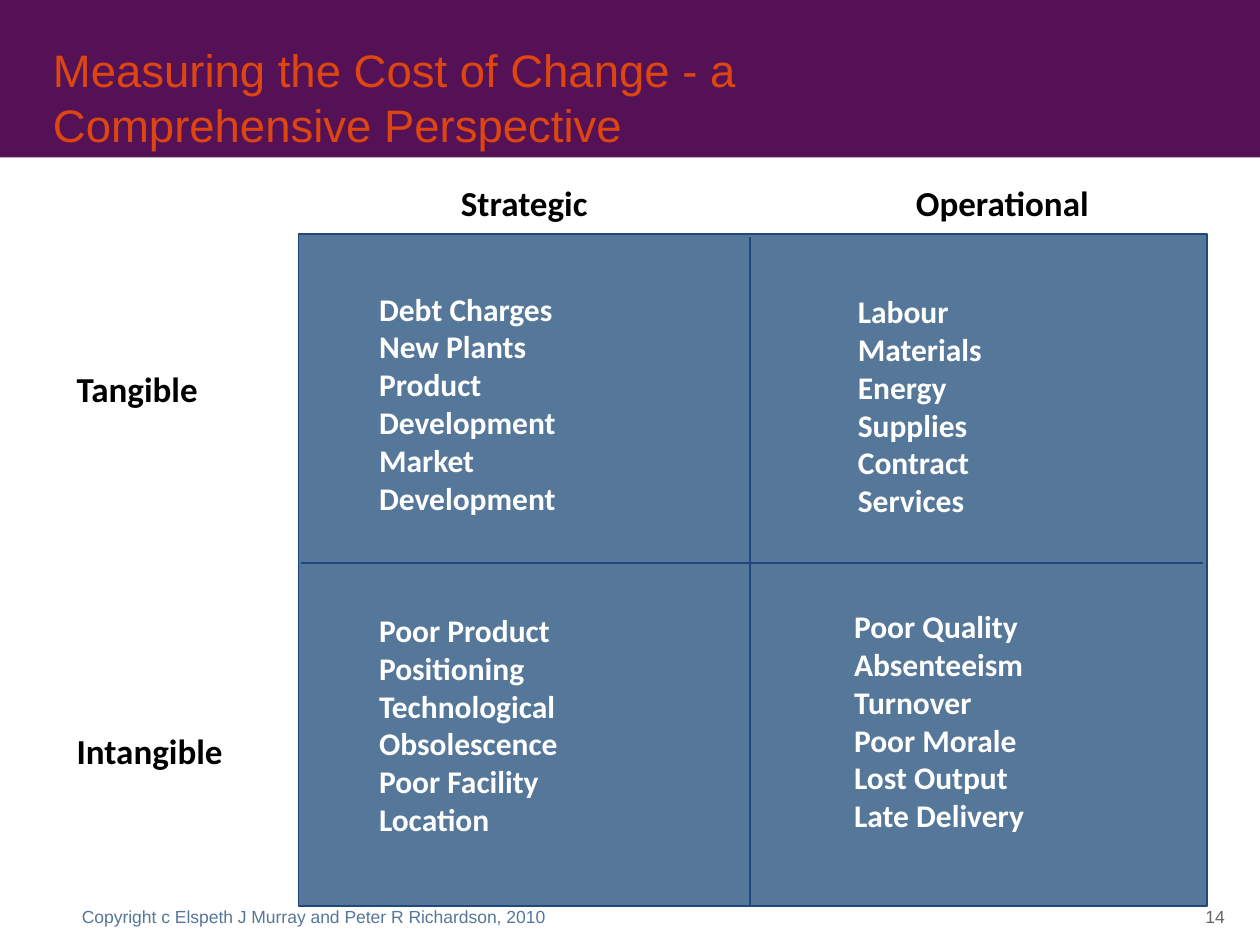
from dataclasses import dataclass

from lxml import etree
from pptx import Presentation
from pptx.dml.color import RGBColor
from pptx.enum import shapes, text
from pptx.oxml.ns import qn
from pptx.util import Inches, Pt


@dataclass(frozen=True)
class Theme:
    heading_font: str = "Arial"
    body_font: str = "Calibri"
    band: str = "551155"
    title: str = "DE4610"
    panel: str = "557799"
    rule: str = "1F497D"
    label: str = "000000"
    item: str = "FFFFFF"
    number: str = "666666"
    title_size: int = 26
    label_size: int = 20
    item_size: int = 18
    small_size: int = 10


THEME = Theme()

# Each heading: text, offset from the matrix corner, width
COLUMN_LABELS = [("Strategic", 1.19, 1.21), ("Operational", 4.8, 1.58)]
ROW_LABELS = [("Tangible", 1.01, 1.17), ("Intangible", 3.88, 1.37)]

# Each quadrant: offset from the matrix corner, width, entries
QUADRANTS = [
    (0.54, 0.39, 1.82, ["Debt Charges", "New Plants", "Product",
                        "Development", "Market", "Development"]),
    (4.34, 0.41, 1.28, ["Labour", "Materials", "Energy",
                        "Supplies", "Contract", "Services"]),
    (0.54, 2.94, 1.95, ["Poor Product", "Positioning", "Technological",
                        "Obsolescence", "Poor Facility", "Location"]),
    (4.31, 2.91, 1.75, ["Poor Quality", "Absenteeism", "Turnover",
                        "Poor Morale", "Lost Output", "Late Delivery"]),
]


def color(value):
    return RGBColor.from_string(value)


def format_text(frame, font, size, fill, bold=False, align=text.PP_ALIGN.LEFT):
    for paragraph in frame.paragraphs:
        paragraph.alignment = align
        for run in paragraph.runs:
            run.font.name = font
            run.font.size = Pt(size)
            run.font.bold = bold
            run.font.color.rgb = color(fill)


def add_text(slide, box, lines, size, fill):
    """Add bold, unwrapped body text, one paragraph per line."""
    frame = slide.shapes.add_textbox(*map(Inches, box)).text_frame
    frame.word_wrap = False
    frame.text = "\n".join(lines)
    format_text(frame, THEME.body_font, size, fill, bold=True)


def add_panel(slide, box, fill, line=None):
    panel = slide.shapes.add_shape(shapes.MSO_SHAPE.RECTANGLE, *map(Inches, box))
    panel.shadow.inherit = False
    panel.fill.solid()
    panel.fill.fore_color.rgb = color(fill)
    if line:
        panel.line.color.rgb = color(line)
        panel.line.width = Pt(1)
    else:
        panel.line.fill.background()
    return panel


def add_rule(slide, *ends):
    rule = slide.shapes.add_connector(shapes.MSO_CONNECTOR.STRAIGHT, *map(Inches, ends))
    rule.line.color.rgb = color(THEME.rule)
    rule.line.width = Pt(1)
    etree.SubElement(rule._element.spPr, qn("a:effectLst"))


def add_header(slide, box):
    left, top, width, height = box
    band = add_panel(slide, box, THEME.band)
    slide.shapes._spTree.insert(2, band._element)  # behind the title
    title = slide.shapes.title
    title.left, title.top = Inches(left + 0.32), Inches(top + 0.53)
    title.width, title.height = Inches(8.12), Inches(height - 0.53)
    frame = title.text_frame
    frame.text = "Measuring the Cost of Change - a Comprehensive Perspective"
    frame.word_wrap = True
    frame.auto_size = text.MSO_AUTO_SIZE.NONE
    frame.vertical_anchor = text.MSO_ANCHOR.BOTTOM
    format_text(frame, THEME.heading_font, THEME.title_size, THEME.title)


def add_matrix(slide, box):
    left, top, width, height = box
    add_panel(slide, box, THEME.panel, THEME.rule)
    middle_x, middle_y = left + 3.58, top + 2.61
    add_rule(slide, middle_x, top + 0.02, middle_x, top + height)
    add_rule(slide, left + 0.02, middle_y, left + width - 0.03, middle_y)
    for label, x, label_width in COLUMN_LABELS:
        add_text(slide, (left + x, top - 0.47, label_width, 0.43), [label],
                 THEME.label_size, THEME.label)
    for label, y, label_width in ROW_LABELS:
        add_text(slide, (left - 1.86, top + y, label_width, 0.43), [label],
                 THEME.label_size, THEME.label)
    for x, y, item_width, items in QUADRANTS:
        add_text(slide, (left + x, top + y, item_width, 1.9), items,
                 THEME.item_size, THEME.item)


def add_small_text(slide, box, words, fill, align):
    frame = slide.shapes.add_textbox(*map(Inches, box)).text_frame
    frame.margin_left = frame.margin_right = 0
    frame.margin_top = frame.margin_bottom = 0
    frame.vertical_anchor = text.MSO_ANCHOR.MIDDLE
    frame.word_wrap = True
    frame.text = words
    format_text(frame, THEME.heading_font, THEME.small_size, fill, align=align)


def add_footer(slide, box):
    left, top, width, height = box
    add_small_text(slide, (left, top, 8.74, height),
                   "Copyright c Elspeth J Murray and Peter R Richardson, 2010",
                   THEME.panel, text.PP_ALIGN.LEFT)
    add_small_text(slide, (left + width - 0.3, top, 0.3, height), "14",
                   THEME.number, text.PP_ALIGN.RIGHT)


def main():
    presentation = Presentation()
    presentation.slide_width, presentation.slide_height = Inches(10), Inches(7.5)
    slide = presentation.slides.add_slide(presentation.slide_layouts[5])
    add_header(slide, (0, 0, 10, 1.25))
    add_matrix(slide, (2.37, 1.86, 7.21, 5.33))
    add_footer(slide, (0.65, 7.14, 9.07, 0.27))
    presentation.save("out.pptx")


if __name__ == "__main__":
    main()
